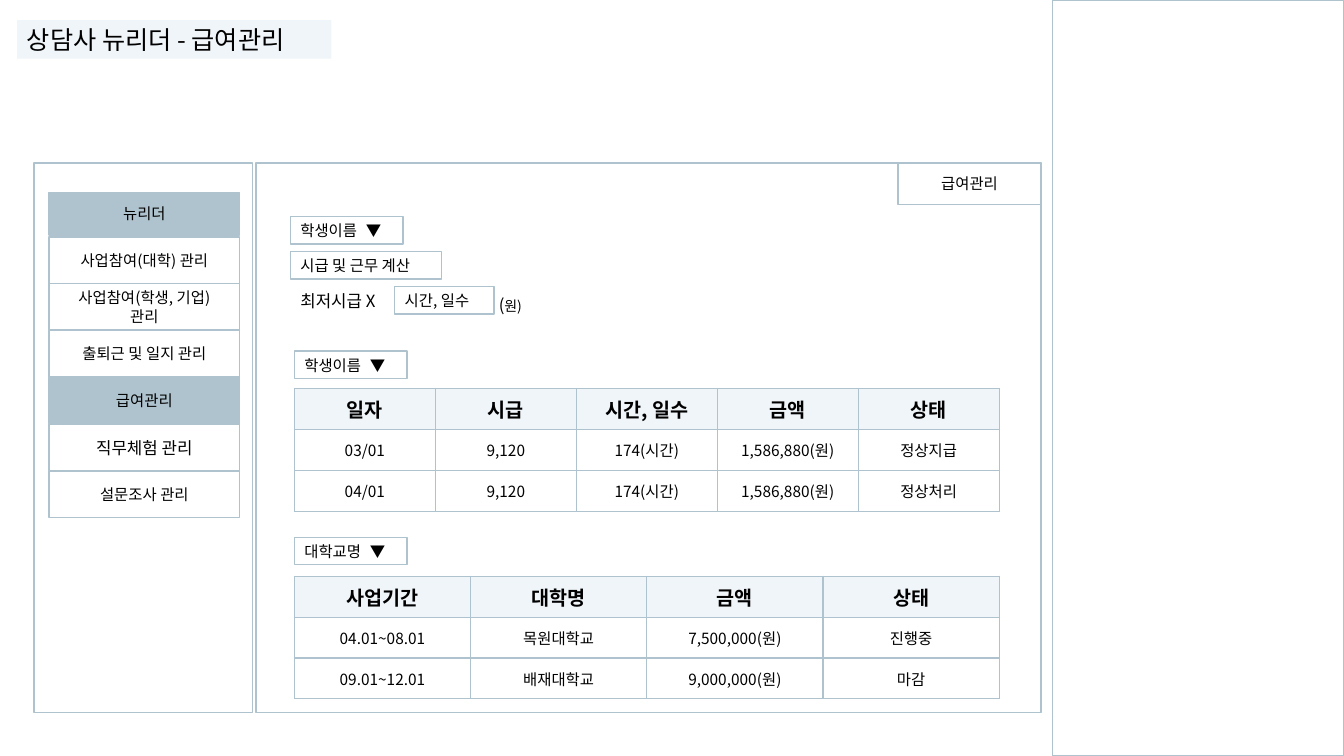
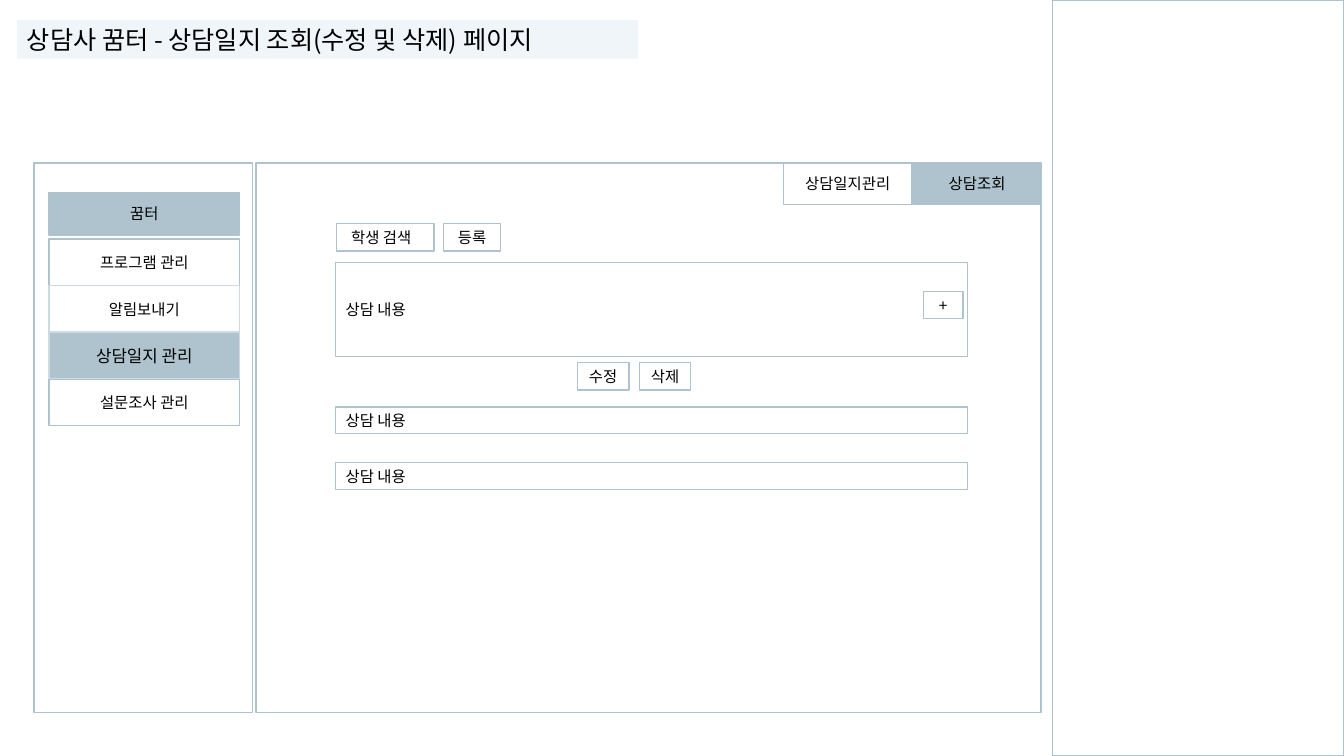
from dataclasses import dataclass

from lxml.etree import SubElement
from pptx import Presentation
from pptx.dml.color import RGBColor as RGB
from pptx.enum.shapes import MSO_SHAPE as SHAPE
from pptx.enum.text import MSO_ANCHOR as ANCHOR, PP_ALIGN as ALIGN
from pptx.oxml.ns import qn
from pptx.util import Cm, Pt


@dataclass(frozen=True)
class Theme:
    font: str = "Noto Sans CJK KR"
    ink: RGB = RGB(0x00, 0x00, 0x00)
    white: RGB = RGB(0xFF, 0xFF, 0xFF)
    accent: RGB = RGB(0xAF, 0xC3, 0xCE)
    soft: RGB = RGB(0xCD, 0xDA, 0xE1)
    pale: RGB = RGB(0xF0, 0xF5, 0xF9)
    title: int = 18
    head: int = 14
    large: int = 12
    body: int = 11
    small: int = 10
    line: int = 1


class Wireframe:
    """Theme and current slide; all lengths are centimetres."""

    TOP, PANEL_H = 4.11, 13.84
    PANEL_X, PANEL_W = 6.45, 19.79
    MENU_X, MENU_W, MENU_PITCH = 1.24, 4.8, 1.18
    FIELD_H = 0.69
    ROW_H = 1.03

    def __init__(self, prs, theme):
        self.prs, self.t, self.s = prs, theme, None

    def page(self, title, title_w):
        self.s = self.prs.slides.add_slide(self.prs.slide_layouts[6])
        self.box(26.52, 0, 7.35, 19.05)
        self.box(self.PANEL_X, self.TOP, self.PANEL_W, self.PANEL_H)
        self.box(0.86, self.TOP, 5.51, self.PANEL_H)
        self.box(0.43, 0.51, title_w, 0.97, title, size=self.t.title,
                 fill=self.t.pale, line=None)

    def style(self, p, size=None, align=ALIGN.LEFT, bold=False):
        p.alignment = align
        f = p.font
        f.name, f.size, f.bold = self.t.font, Pt(size or self.t.body), bold
        f.color.rgb = self.t.ink
        def_rpr = p._p.get_or_add_pPr().find(qn("a:defRPr"))
        SubElement(def_rpr, qn("a:ea"), typeface=self.t.font)

    def box(self, x, y, w, h, text="", size=None, align=ALIGN.LEFT,
            fill=None, line=Theme.accent, inset=0.25):
        sp = self.s.shapes.add_shape(SHAPE.RECTANGLE, Cm(x), Cm(y), Cm(w), Cm(h))
        sp.shadow.inherit = False
        if fill is None:
            sp.fill.background()
        else:
            sp.fill.solid()
            sp.fill.fore_color.rgb = fill
        if line is None:
            sp.line.fill.background()
        else:
            sp.line.color.rgb = line
            sp.line.width = Pt(self.t.line)
        if text:
            tf = sp.text_frame
            tf.word_wrap = True
            tf.vertical_anchor = ANCHOR.MIDDLE
            tf.margin_left = Cm(inset)
            tf.text = text
            for p in tf.paragraphs:
                self.style(p, size, align)
        return sp

    def button(self, x, y, w, text):
        self.box(x, y, w, self.FIELD_H, text, align=ALIGN.CENTER)

    def field(self, x, y, w, text, inset=0.25):
        self.box(x, y, w, self.FIELD_H, text, inset=inset)

    def dropdown(self, x, y, text):
        sp = self.box(x, y, 2.84, self.FIELD_H, f"{text}\t▼")
        pPr = sp.text_frame.paragraphs[0]._p.get_or_add_pPr()
        tabs = pPr.makeelement(qn("a:tabLst"))
        SubElement(tabs, qn("a:tab"), pos=str(Cm(1.65)), algn="l")
        pPr.find(qn("a:defRPr")).addprevious(tabs)

    def label(self, x, y, w, *parts):
        """Text box from (text, size) parts."""
        tf = self.s.shapes.add_textbox(Cm(x), Cm(y), Cm(w), Cm(0.76)).text_frame
        tf.word_wrap = True
        p = tf.paragraphs[0]
        self.style(p, parts[0][1])
        for text, size in parts:
            r = p.add_run()
            r.text = text
            if size != parts[0][1]:
                r.font.size = Pt(size)

    def tabs(self, names, width, active=None):
        gap = 0.03
        right = self.PANEL_X + self.PANEL_W
        for i, name in enumerate(reversed(names)):
            self.box(right - width - i * (width + gap), self.TOP, width, 1.04,
                     name, align=ALIGN.CENTER,
                     fill=self.t.accent if name == active else None)

    def menu(self, heading, y, items, active, large=(), soft=()):
        t = self.t
        self.box(self.MENU_X, 4.85, self.MENU_W, 1.07, heading,
                 align=ALIGN.CENTER, fill=t.accent)
        for i, item in enumerate(items):
            self.box(self.MENU_X, y + i * self.MENU_PITCH, self.MENU_W, 1.17, item,
                     size=t.large if item in large else t.body,
                     align=ALIGN.CENTER,
                     fill=t.accent if item == active else None,
                     line=t.soft if item in soft else t.accent)

    def table(self, x, y, w, rows):
        n = len(rows[0])
        tbl = self.s.shapes.add_table(len(rows), n, Cm(x), Cm(y), Cm(w),
                                      Cm(self.ROW_H * len(rows))).table
        tbl.horz_banding = False
        for col in tbl.columns:
            col.width = Cm(w / n)
        for i, row in enumerate(rows):
            tbl.rows[i].height = Cm(self.ROW_H)
            for j, text in enumerate(row):
                self.cell(tbl.cell(i, j), text, header=i == 0)

    def cell(self, cell, text, header):
        t = self.t
        cell.text = text
        cell.vertical_anchor = ANCHOR.MIDDLE
        self.style(cell.text_frame.paragraphs[0], t.head if header else t.body,
                   ALIGN.CENTER, header)
        tcPr = cell._tc.get_or_add_tcPr()
        for side in ("lnL", "lnR", "lnT", "lnB"):
            ln = SubElement(tcPr, qn(f"a:{side}"), w=str(Pt(t.line)))
            SubElement(SubElement(ln, qn("a:solidFill")), qn("a:srgbClr"),
                       val=str(t.accent))
        cell.fill.solid()
        cell.fill.fore_color.rgb = t.pale if header else t.white


def payroll(w):
    t = w.t
    w.page("상담사 뉴리더 - 급여관리", 7.92)
    w.tabs(["급여관리"], 3.61)
    w.menu("뉴리더", 5.97,
           ["사업참여(대학) 관리", "사업참여(학생, 기업)\n관리", "출퇴근 및 일지 관리",
            "급여관리", "직무체험 관리", "설문조사 관리"],
           active="급여관리", large=["직무체험 관리"])

    left = 7.32
    w.dropdown(left, 5.46, "학생이름")
    w.field(left, 6.34, 3.81, "시급 및 근무 계산")
    w.label(left, 7.19, 2.87, ("최저시급 X", t.large))
    w.field(9.95, 7.22, 2.5, "시간, 일수")
    w.label(12.32, 7.29, 2.87, ("(", t.large), ("원)", t.small))

    left, width = 7.42, 17.76
    w.dropdown(left, 8.85, "학생이름")
    w.table(left, 9.79, width, [
        ["일자", "시급", "시간, 일수", "금액", "상태"],
        ["03/01", "9,120", "174(시간)", "1,586,880(원)", "정상지급"],
        ["04/01", "9,120", "174(시간)", "1,586,880(원)", "정상처리"],
    ])
    w.dropdown(left, 13.54, "대학교명")
    w.table(left, 14.52, width, [
        ["사업기간", "대학명", "금액", "상태"],
        ["04.01~08.01", "목원대학교", "7,500,000(원)", "진행중"],
        ["09.01~12.01", "배재대학교", "9,000,000(원)", "마감"],
    ])


def counseling_log(w):
    w.page("상담사 꿈터 - 상담일지 조회(수정 및 삭제) 페이지", 15.65)
    w.tabs(["상담일지관리", "상담조회"], 3.23, active="상담조회")
    w.menu("꿈터", 6.02,
           ["프로그램 관리", "알림보내기", "상담일지 관리", "설문조사 관리"],
           active="상담일지 관리", large=["상담일지 관리"],
           soft=["알림보내기", "상담일지 관리"])

    w.field(8.48, 5.64, 2.46, "학생 검색", inset=0.37)
    w.field(11.17, 5.64, 1.45, "등록", inset=0.37)
    for y, h in ((6.62, 2.36), (10.26, 0.67), (11.66, 0.67)):
        w.box(8.46, y, 15.93, h, "상담 내용")
    w.button(23.27, 7.34, 1, "+")
    for i, name in enumerate(("수정", "삭제")):
        w.button(14.55 + i * 1.56, 9.14, 1.3, name)


def main():
    prs = Presentation()
    prs.slide_width, prs.slide_height = Cm(33.87), Cm(19.05)
    w = Wireframe(prs, Theme())
    payroll(w)
    counseling_log(w)
    prs.save("out.pptx")


if __name__ == "__main__":
    main()
